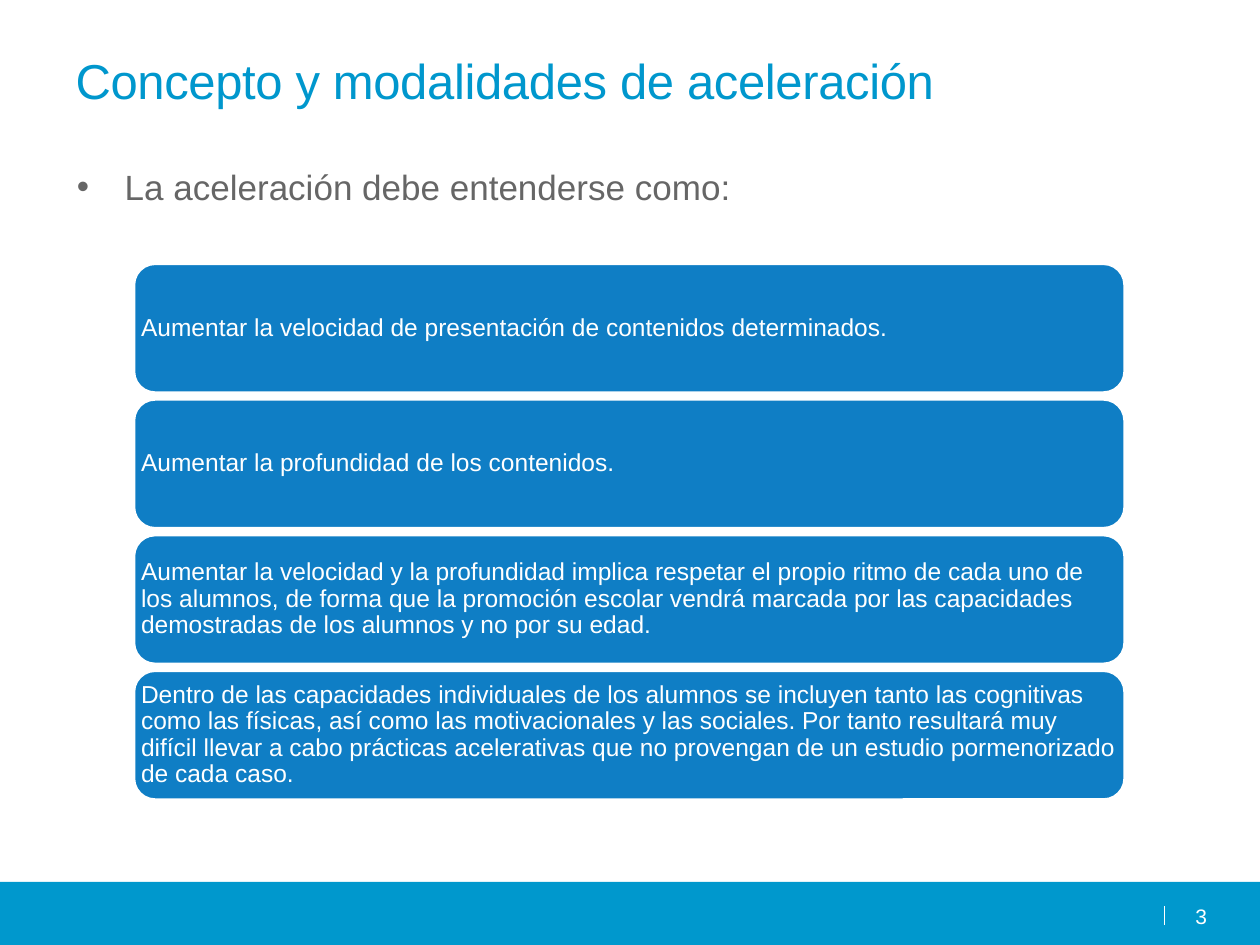
from pptx import Presentation
from pptx.dml.color import RGBColor
from pptx.enum.shapes import MSO_CONNECTOR, MSO_SHAPE
from pptx.enum.text import MSO_ANCHOR, MSO_AUTO_SIZE, PP_ALIGN
from pptx.oxml.ns import qn
from pptx.util import Inches, Pt
from lxml.etree import SubElement

WHITE = "FFFFFF"
STATEMENTS = [
    "Aumentar la velocidad de presentación de contenidos determinados.",
    "Aumentar la profundidad de los contenidos.",
    "Aumentar la velocidad y la profundidad implica respetar el propio ritmo de cada "
    "uno de los alumnos, de forma que la promoción escolar vendrá marcada por las "
    "capacidades demostradas de los alumnos y no por su edad.",
    "Dentro de las capacidades individuales de los alumnos se incluyen tanto las "
    "cognitivas como las físicas, así como las motivacionales y las sociales. Por tanto "
    "resultará muy difícil llevar a cabo prácticas acelerativas que no provengan de un "
    "estudio pormenorizado de cada caso.",
]


def color(value):
    """Turn a hex string into a colour."""
    return RGBColor.from_string(value)


def place(shape, left, top, width, height):
    """Move and size a shape, in inches."""
    shape.left, shape.top = Inches(left), Inches(top)
    shape.width, shape.height = Inches(width), Inches(height)


def write(shape, text, size, hex_color, margins, anchor=MSO_ANCHOR.TOP, align=PP_ALIGN.LEFT):
    """Write one formatted paragraph, with (side, vertical) margins in inches."""
    frame = shape.text_frame
    frame.word_wrap = True
    frame.auto_size = MSO_AUTO_SIZE.NONE
    frame.vertical_anchor = anchor
    frame.margin_left = frame.margin_right = Inches(margins[0])
    frame.margin_top = frame.margin_bottom = Inches(margins[1])
    frame.text = text
    para = frame.paragraphs[0]
    para.alignment = align
    para.space_before = Pt(0)
    para.font.name = "Arial"
    para.font.size = Pt(size)
    para.font.color.rgb = color(hex_color)
    return para


def add_title(page, left, top, width, height):
    """Fill the title placeholder."""
    title = page.shapes.title
    place(title, left, top, width, height)
    para = write(title, "Concepto y modalidades de aceleración", 28, "0097CD", (0.1, 0.1))
    para.runs[0].font._element.set("spc", "-20")


def add_body(page, left, top, width, height):
    """Fill the body placeholder with the bulleted lead-in."""
    body = page.placeholders[1]
    place(body, left, top, width, height)
    para = write(body, "La aceleración debe entenderse como:", 20, "666666", (0.1, 0.08))
    properties = para._p.get_or_add_pPr()
    properties.set("marL", str(Inches(0.38)))
    properties.set("indent", str(-Inches(0.38)))


def add_footer(page, left, top, width, height):
    """Draw the footer band with its divider and slide number."""
    band = page.shapes.add_shape(
        MSO_SHAPE.RECTANGLE, Inches(left), Inches(top), Inches(width), Inches(height))
    band.shadow.inherit = False
    band.fill.solid()
    band.fill.fore_color.rgb = color("0098CD")
    band.line.fill.background()

    divider_x = Inches(left + 9.24)
    divider = page.shapes.add_connector(
        MSO_CONNECTOR.STRAIGHT, divider_x, Inches(top + 0.34), divider_x, Inches(top + 0.19))
    divider.line.color.rgb = color(WHITE)
    divider.line.width = Pt(0.75)
    SubElement(divider._element.spPr, qn("a:effectLst"))

    number = page.shapes.add_textbox(
        Inches(left + 9.28), Inches(top + 0.17), Inches(0.3), Inches(0.19))
    write(number, "3", 12, WHITE, (0, 0), align=PP_ALIGN.RIGHT)


def add_statements(page, left, top, width, height):
    """Stack one rounded card per statement, evenly spaced in the box."""
    card_height = 1.03
    pitch = (height - card_height) / (len(STATEMENTS) - 1)
    for index, text in enumerate(STATEMENTS):
        card = page.shapes.add_shape(
            MSO_SHAPE.ROUNDED_RECTANGLE, Inches(left), Inches(top + index * pitch),
            Inches(width), Inches(card_height))
        card.shadow.inherit = False
        card.fill.solid()
        card.fill.fore_color.rgb = color("0F7EC5")
        card.line.color.rgb = color(WHITE)
        card.line.width = Pt(2)
        para = write(card, text, 14, WHITE, (0.01, 0.01), MSO_ANCHOR.MIDDLE)
        para.line_spacing = 0.9


def main():
    """Build and save the slide."""
    deck = Presentation()
    deck.slide_width, deck.slide_height = Inches(10), Inches(7.5)
    page = deck.slides.add_slide(deck.slide_layouts[1])
    add_footer(page, 0, 7, 10, 0.5)
    add_title(page, 0.5, 0.3, 9, 1.25)
    add_body(page, 0.51, 1.23, 9, 4.95)
    add_statements(page, 1.06, 2.09, 7.87, 4.26)
    deck.save("out.pptx")


if __name__ == "__main__":
    main()
